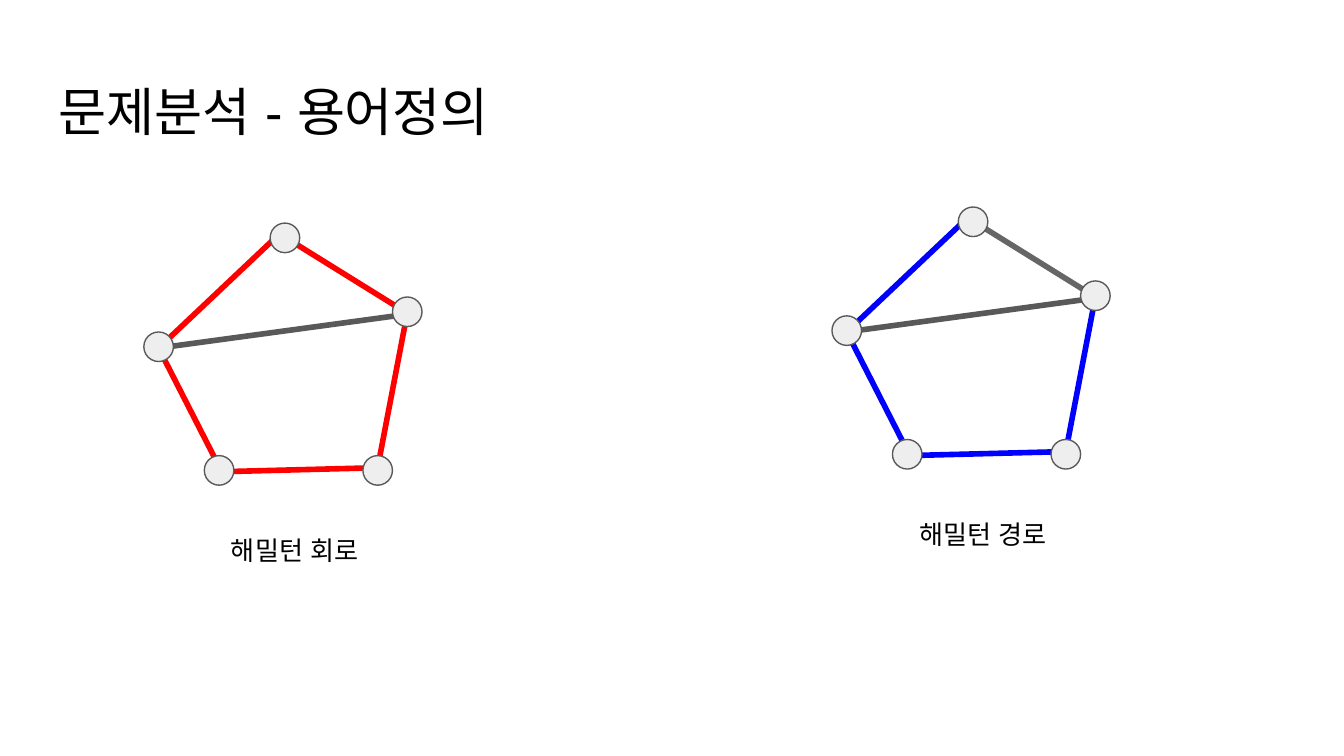
import pptx
import pptx.dml.color
import pptx.enum.shapes
import pptx.oxml.ns
import pptx.util
from lxml import etree

Inches = pptx.util.Inches
Pt = pptx.util.Pt

# Content
TITLE = "문제분석 - 용어정의"
FONT = "Arial"
RED, BLUE, GRAY, LIGHT_GRAY = "FF0000", "0000FF", "595959", "666666"
NODE_SIZE = 0.22

# Node corners and edge ends, relative to the graph's origin
NODES = [(2.01, 1.66), (1.07, 2.47), (1.52, 3.39), (2.92, 2.21), (2.70, 3.39)]
EDGES = {
    "left-top": ((1.18, 2.59), (2.08, 1.74)),
    "left-bottom": ((1.18, 2.59), (1.65, 3.51)),
    "top-right": ((2.08, 1.74), (3.03, 2.33)),
    "right-bottom": ((3.03, 2.33), (2.81, 3.48)),
    "base": ((1.65, 3.51), (2.82, 3.48)),
    "chord": ((1.18, 2.59), (3.02, 2.34)),
}
CAPTION_AT = (1.62, 3.88)

# Each graph: caption, origin, path colour, edges off the path
GRAPHS = [
    ("해밀턴 회로", (0, 0), RED, {"chord": GRAY}),
    ("해밀턴 경로", (5.12, -0.12), BLUE, {"chord": GRAY, "top-right": LIGHT_GRAY}),
]


def rgb(value):
    return pptx.dml.color.RGBColor.from_string(value)


def add_text(page, left, top, width, height, text, size):
    box = page.shapes.add_textbox(*map(Inches, (left, top, width, height)))
    frame = box.text_frame
    frame.word_wrap = True
    frame.margin_left = frame.margin_right = Inches(0.1)
    frame.margin_top = frame.margin_bottom = Inches(0.1)
    span = frame.paragraphs[0].add_run()
    span.text = text
    span.font.name = FONT
    span.font.size = Pt(size)
    span.font.color.rgb = rgb("000000")
    # Hangul takes the East Asian typeface
    for tag in ("a:ea", "a:cs"):
        etree.SubElement(span.font._element, pptx.oxml.ns.qn(tag), typeface=FONT)


def add_edge(page, start, end, color):
    edge = page.shapes.add_connector(
        pptx.enum.shapes.MSO_CONNECTOR.STRAIGHT, *map(Inches, (*start, *end)))
    edge.line.color.rgb = rgb(color)
    edge.line.width = Pt(3)
    etree.SubElement(edge._element.spPr, pptx.oxml.ns.qn("a:effectLst"))


def add_node(page, left, top):
    node = page.shapes.add_shape(
        pptx.enum.shapes.MSO_SHAPE.OVAL,
        *map(Inches, (left, top, NODE_SIZE, NODE_SIZE)))
    node.shadow.inherit = False
    node.fill.solid()
    node.fill.fore_color.rgb = rgb("EEEEEE")
    node.line.color.rgb = rgb(GRAY)
    node.line.width = Pt(0.75)


def add_graph(page, caption, origin, color, off_path):
    def place(point):
        return point[0] + origin[0], point[1] + origin[1]

    # Edges lie behind the nodes
    for name, (start, end) in EDGES.items():
        add_edge(page, place(start), place(end), off_path.get(name, color))
    for corner in NODES:
        add_node(page, *place(corner))
    add_text(page, *place(CAPTION_AT), 1.23, 0.4, caption, 14)


def main():
    deck = pptx.Presentation()
    # Widescreen, 16:9
    deck.slide_width, deck.slide_height = Inches(10), Inches(10 * 9 / 16)
    page = deck.slides.add_slide(deck.slide_layouts[6])
    add_text(page, 0.34, 0.49, 9.32, 0.63, TITLE, 28)
    for graph in GRAPHS:
        add_graph(page, *graph)
    deck.save("out.pptx")


if __name__ == "__main__":
    main()
